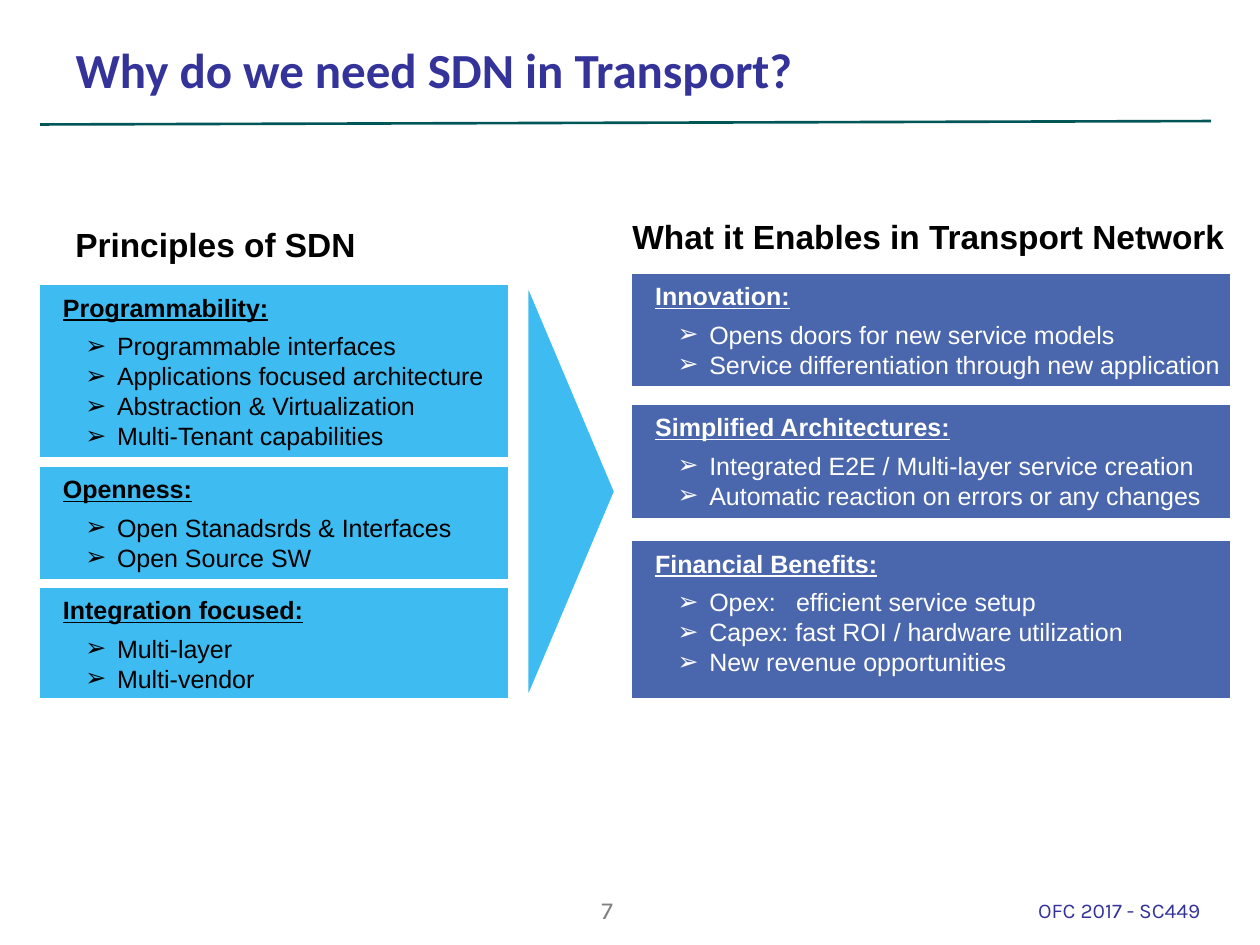
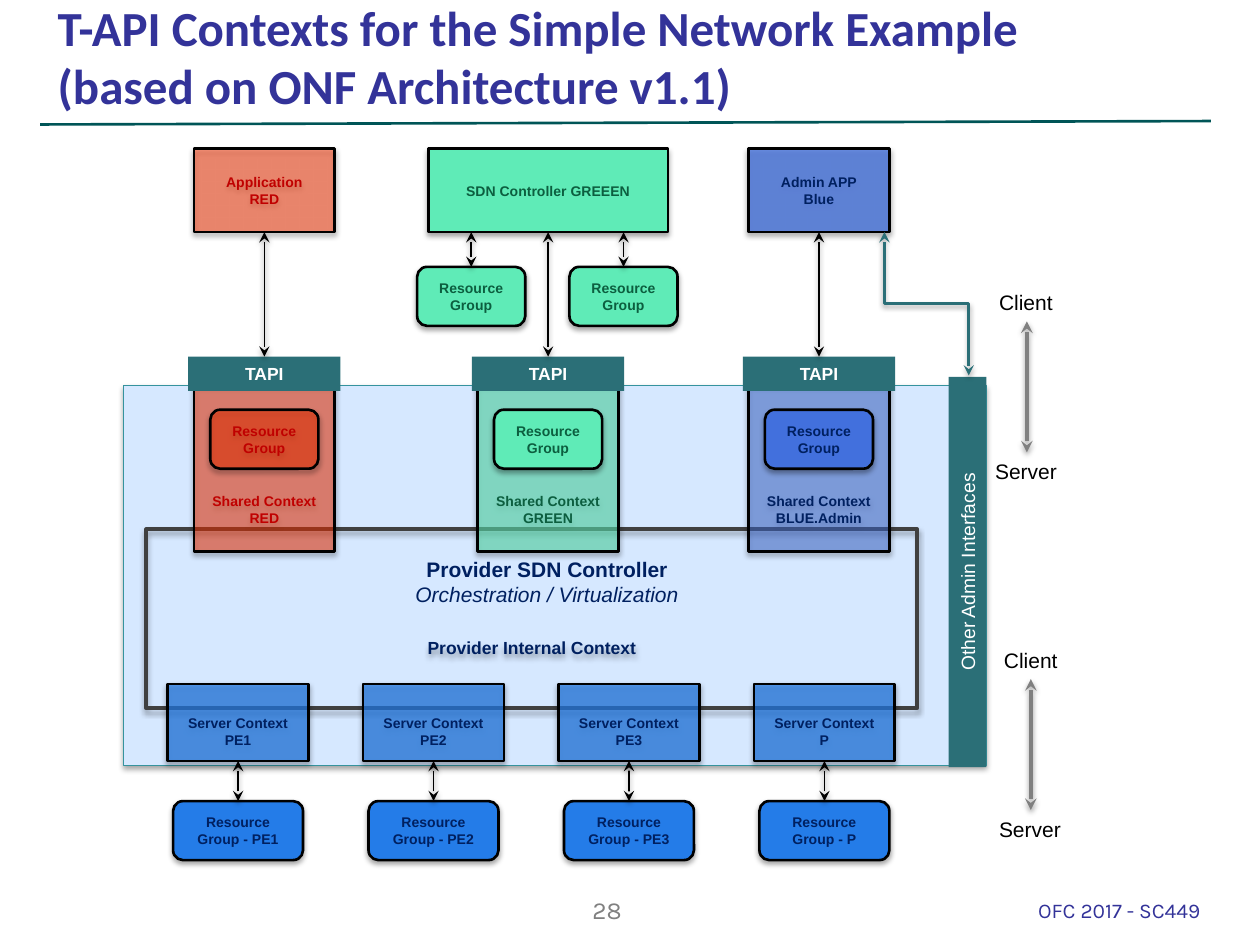
from collections import namedtuple

from lxml import etree
from pptx import Presentation
from pptx.dml.color import RGBColor
from pptx.enum.shapes import MSO_CONNECTOR, MSO_SHAPE
from pptx.enum.text import MSO_ANCHOR, MSO_AUTO_SIZE, PP_ALIGN
from pptx.oxml.ns import qn
from pptx.util import Cm, Pt

RECT, ROUNDED, ARROW = MSO_SHAPE.RECTANGLE, MSO_SHAPE.ROUNDED_RECTANGLE, MSO_SHAPE.RIGHT_ARROW
STRAIGHT, ELBOW = MSO_CONNECTOR.STRAIGHT, MSO_CONNECTOR.ELBOW
TOP, MIDDLE, BOTTOM = MSO_ANCHOR.TOP, MSO_ANCHOR.MIDDLE, MSO_ANCHOR.BOTTOM
LEFT, CENTER = PP_ALIGN.LEFT, PP_ALIGN.CENTER
NO_AUTOFIT = MSO_AUTO_SIZE.NONE
TOP_SIDE, BOTTOM_SIDE = 0, 2

BLACK, WHITE, GREY = "000000", "FFFFFF", "808080"
INDIGO, RULE, TEAL, NAVY = "333399", "005557", "2B6F77", "002060"
SKY, ROYAL, SERVER_BLUE = "3EBBF0", "4A66AC", "247CE8"
RED, GREEN, BLUE = "FF3300", "5FEBB7", "4270DD"
DARK_RED, DARK_GREEN = "C00000", "0C5E3F"

Domain = namedtuple("Domain", "center fill ink client client_width client_alpha "
                              "context context_alpha group_alpha")


def rgb(value):
    return RGBColor.from_string(value)


def add_child(parent, tag, **attributes):
    child = etree.SubElement(parent, qn(tag))
    for name, value in attributes.items():
        child.set(name, str(value))
    return child


def add_shadow(effects, alpha, distance):
    """Put a soft black shadow, falling straight down, into an effect list."""
    shadow = add_child(effects, "a:outerShdw", blurRad=Pt(3.1), dist=Pt(distance),
                       dir=5400000, rotWithShape=0)
    black = add_child(shadow, "a:srgbClr", val=BLACK)
    add_child(black, "a:alpha", val=alpha * 1000)


def set_indent(para, margin, indent=0, bullet=None, color=BLACK, tabs=()):
    properties = para._p.get_or_add_pPr()
    properties.set("marL", str(Cm(margin)))
    properties.set("indent", str(Cm(indent)))
    if bullet:
        bullet_color = add_child(properties, "a:buClr")
        add_child(bullet_color, "a:srgbClr", val=color)
        add_child(properties, "a:buFont", typeface="Arial")
        add_child(properties, "a:buChar", char=bullet)
    if tabs:
        tab_list = add_child(properties, "a:tabLst")
        for position in tabs:
            add_child(tab_list, "a:tab", pos=Cm(position), algn="l")


class SlideBuilder:
    font = "Arial"

    def __init__(self, deck):
        self.deck = deck
        self.page = None

    def start(self, title, number, left, top, width):
        """Open a titled page with its rule, number and footer."""
        self.page = self.deck.slides.add_slide(self.deck.slide_layouts[5])
        self.line(0.81, 2.51, 24.41, 2.44, RULE, 1.5)
        box = self.page.shapes.title
        box.left, box.top, box.width, box.height = Cm(left), Cm(top), Cm(width), Cm(1.4)
        self.set_text(box, [title], 28, INDIGO, bold=True, anchor=BOTTOM, align=LEFT,
                      font="Calibri")
        box.text_frame.auto_size = NO_AUTOFIT
        self.text([str(number)], 11.02, 17.91, 2.44, 1.02, 14, GREY, align=CENTER, font="Karla")
        self.text(["OFC 2017 - SC449"], 20.68, 17.96, 4.57, 0.71, 12, INDIGO, font="Karla")

    def style(self, para, size, color, bold=False, font=None):
        for span in para.runs:
            span.font.name = font or self.font
            span.font.size = Pt(size)
            span.font.bold = bold
            span.font.color.rgb = rgb(color)

    def set_text(self, box, lines, size, color, bold=False, anchor=MIDDLE, align=CENTER,
                 font=None, insets=None):
        frame = box.text_frame
        frame.text = "\n".join(lines)
        frame.vertical_anchor = anchor
        frame.word_wrap = True
        if insets:
            (frame.margin_left, frame.margin_top,
             frame.margin_right, frame.margin_bottom) = map(Cm, insets)
        for para in frame.paragraphs:
            para.alignment = align
            self.style(para, size, color, bold, font)

    def text(self, lines, left, top, width, height, size, color, wrap=True, **look):
        box = self.page.shapes.add_textbox(Cm(left), Cm(top), Cm(width), Cm(height))
        self.set_text(box, lines, size, color, **{"anchor": TOP, "align": LEFT, **look})
        box.text_frame.word_wrap = wrap
        return box

    def box(self, left, top, width, height, fill=None, outline=None, weight=0.75,
            kind=RECT, alpha=100, shadow=False):
        box = self.page.shapes.add_shape(kind, Cm(left), Cm(top), Cm(width), Cm(height))
        box.shadow.inherit = False
        if fill:
            box.fill.solid()
            box.fill.fore_color.rgb = rgb(fill)
            if alpha < 100:
                fill_color = next(box._element.spPr.iter(qn("a:srgbClr")))
                add_child(fill_color, "a:alpha", val=alpha * 1000)
        else:
            box.fill.background()
        if outline:
            box.line.color.rgb = rgb(outline)
            box.line.width = Pt(weight)
        else:
            box.line.fill.background()
        if shadow:
            add_shadow(box._element.spPr.find(qn("a:effectLst")), 35, 1.8)
        return box

    def node(self, lines, center, top, width, height, fill, ink, alpha=100, kind=RECT, **look):
        """Draw a black-edged box around a centre line."""
        box = self.box(center - width / 2, top, width, height, fill, BLACK, 1.5, kind,
                       alpha, shadow=True)
        self.set_text(box, lines, 8, ink, bold=True, **look)
        return box

    def group(self, label, center, top, fill, ink, width=2.18, alpha=100):
        return self.node([label], center, top, width, 1.19, fill, ink, alpha, ROUNDED)

    def line(self, x1, y1, x2, y2, color, weight, kind=STRAIGHT, arrows=False):
        line = self.page.shapes.add_connector(kind, Cm(x1), Cm(y1), Cm(x2), Cm(y2))
        line.line.color.rgb = rgb(color)
        line.line.width = Pt(weight)
        effects = add_child(line._element.spPr, "a:effectLst")
        if arrows:
            outline = line._element.spPr.find(qn("a:ln"))
            add_child(outline, "a:headEnd", type="stealth")
            add_child(outline, "a:tailEnd", type="stealth")
            add_shadow(effects, 38, 1.6)
        return line

    def arrow(self, center, bottom, top, color=BLACK, weight=1, lower=None, upper=None):
        """Draw a vertical two-headed arrow, joined to the boxes given."""
        line = self.line(center, bottom, center, top, color, weight, arrows=True)
        if lower:
            line.begin_connect(lower, TOP_SIDE)
        if upper:
            line.end_connect(upper, BOTTOM_SIDE)

    def vertical_elbow(self, x1, y1, x2, y2, color, weight):
        """Draw an elbow that leaves and arrives vertically: a level one turned by 270 degrees."""
        x, y = (x1 + x2) / 2, (y1 + y2) / 2
        across, down = (y2 - y1) / 2, (x2 - x1) / 2
        line = self.line(x + across, y - down, x - across, y + down, color, weight, ELBOW, True)
        line._element.spPr.find(qn("a:xfrm")).set("rot", str(270 * 60000))

    def card(self, heading, items, left, top, width, height, fill, ink):
        box = self.box(left, top, width, height, fill, WHITE)
        self.set_text(box, [heading, *items], 14.3, ink, anchor=TOP, align=LEFT,
                      insets=(0, 0.15, 0, 0))
        first, *rest = box.text_frame.paragraphs
        set_indent(first, 0.48)
        first.space_after = Pt(4.8)
        for span in first.runs:
            span.font.bold = span.font.underline = True
        for para in rest:
            tabs = (1.6, 3.18) if "\t" in para.text else ()
            set_indent(para, 1.57, -0.64, "➢", ink, tabs)


def build_reasons(builder):
    builder.start("Why do we need SDN in Transport?", 7, 1.27, 0.71, 22.86)
    principles = [
        (5.74, 3.48, "Programmability:",
         ["Programmable interfaces", "Applications focused architecture",
          "Abstraction & Virtualization", "Multi-Tenant capabilities"]),
        (9.4, 2.29, "Openness:", ["Open Stanadsrds & Interfaces", "Open Source SW"]),
        (11.84, 2.24, "Integration focused:", ["Multi-layer", "Multi-vendor"]),
    ]
    benefits = [
        (5.51, 2.29, "Innovation:",
         ["Opens doors for new service models",
          "Service differentiation through new application"]),
        (8.15, 2.31, "Simplified Architectures:",
         ["Integrated E2E / Multi-layer service creation",
          "Automatic reaction on errors or any changes"]),
        (10.9, 3.18, "Financial Benefits:",
         ["Opex: \t efficient service setup", "Capex: fast ROI / hardware utilization",
          "New revenue opportunities"]),
    ]
    for cards, left, width, fill, ink in ((principles, 0.79, 9.47, SKY, BLACK),
                                          (benefits, 12.73, 12.09, ROYAL, WHITE)):
        for top, height, heading, items in cards:
            builder.card(heading, items, left, top, width, height, fill, ink)
    arrow = builder.box(10.64, 5.77, 1.75, 8.28, SKY, WHITE, kind=ARROW)
    arrow.adjustments[0], arrow.adjustments[1] = 0.21, 1
    for heading, left, top, width in (
            ("Principles of SDN", 1.52, 4.6, 7.7),
            ("What it Enables in Transport Network", 12.75, 4.45, 12.07)):
        box = builder.text([heading], left, top, width, 1.3, 19.1, BLACK, bold=True,
                           insets=(0, 0, 0, 0))
        box.text_frame.paragraphs[0].line_spacing = 0.9


def build_provider(builder):
    """Draw the provider controller, its internal context and its server contexts."""
    builder.box(2.49, 7.77, 17.4, 7.67, "D6E8FF", "35939E", shadow=True)
    bar = builder.box(15.57, 11.15, 7.87, 0.76, TEAL)
    bar.rotation = 270
    builder.set_text(bar, ["Other Admin Interfaces"], 11, WHITE)
    internal = builder.box(2.95, 10.67, 15.54, 3.61, outline="404040", weight=2.25, shadow=True)
    builder.set_text(internal, ["Provider Internal Context"], 10, NAVY, bold=True, anchor=BOTTOM,
                     insets=(0.25, 0.13, 0.25, 1.01))
    for index, name in enumerate(("PE1", "PE2", "PE3", "P")):
        center = 4.8 + 3.94 * index
        group = builder.group(f"Resource Group - {name}", center, 16.15, SERVER_BLUE, NAVY, 2.62)
        server = builder.node(["Server Context", name], center, 13.79, 2.84, 1.55, SERVER_BLUE,
                              NAVY, 71, anchor=BOTTOM, insets=(0.25, 0.13, 0.25, 0.25))
        builder.arrow(center, 16.15, 15.34, lower=group, upper=server)


def build_domain(builder, domain):
    """Draw one client, its shared context and the interface between them."""
    center, fill, ink = domain.center, domain.fill, domain.ink
    builder.node(["Shared Context", domain.context], center, 7.77, 2.84, 3.35, fill, ink,
                 domain.context_alpha, anchor=BOTTOM, insets=(0.25, 0.13, 0.25, 0.51))
    builder.group("Resource Group", center, 8.26, fill, ink, alpha=domain.group_alpha)
    interface = builder.box(center - 3.07 / 2, 7.19, 3.07, 0.69, TEAL)
    builder.set_text(interface, ["TAPI"], 10, WHITE, bold=True)
    client = builder.node(domain.client, center, 3, domain.client_width, 1.68, fill, ink,
                          domain.client_alpha)
    builder.arrow(center, 7.19, 4.68, lower=interface, upper=client)


def build_contexts(builder):
    builder.start("T-API Contexts for the Simple Network Example \v(based on ONF Architecture v1.1)",
                  28, 0.91, 1.04, 23.6)
    build_provider(builder)
    domains = [
        Domain(5.33, RED, DARK_RED, ["Application", "RED"], 2.84, 49, "RED", 49, 49),
        Domain(11.05, GREEN, DARK_GREEN, ["SDN Controller GREEEN"], 4.83, 100, "GREEN", 57, 100),
        Domain(16.51, BLUE, NAVY, ["Admin APP", "Blue"], 2.84, 77, "BLUE.Admin", 48, 100),
    ]
    for domain in domains:
        build_domain(builder, domain)
    for center in (9.5, 12.57):
        group = builder.group("Resource Group", center, 5.38, GREEN, DARK_GREEN)
        builder.arrow(center, 5.38, 4.68, lower=group)
    builder.vertical_elbow(17.83, 4.68, 19.53, 7.57, TEAL, 1.5)

    for center, top, client_left, server_left in ((20.7, 6.48, 19.89, 19.81),
                                                  (20.78, 13.69, 19.99, 19.89)):
        builder.arrow(center, top + 2.64, top, GREY, 2.25)
        builder.text(["Client"], client_left, top - 0.76, 1.6, 0.76, 12, BLACK, wrap=False)
        builder.text(["Server"], server_left, top + 2.64, 1.78, 0.76, 12, BLACK, wrap=False)
    caption = builder.text(["Provider SDN Controller", "Orchestration / Virtualization"],
                           7.87, 11.1, 6.32, 1.8, 12, NAVY, wrap=False, bold=True, align=CENTER)
    subtitle = caption.text_frame.paragraphs[1].runs[0]
    subtitle.font.bold, subtitle.font.italic = False, True


def main():
    deck = Presentation()
    deck.slide_width, deck.slide_height = Cm(25.4), Cm(19.05)
    builder = SlideBuilder(deck)
    build_reasons(builder)
    build_contexts(builder)
    deck.save("out.pptx")


if __name__ == "__main__":
    main()
